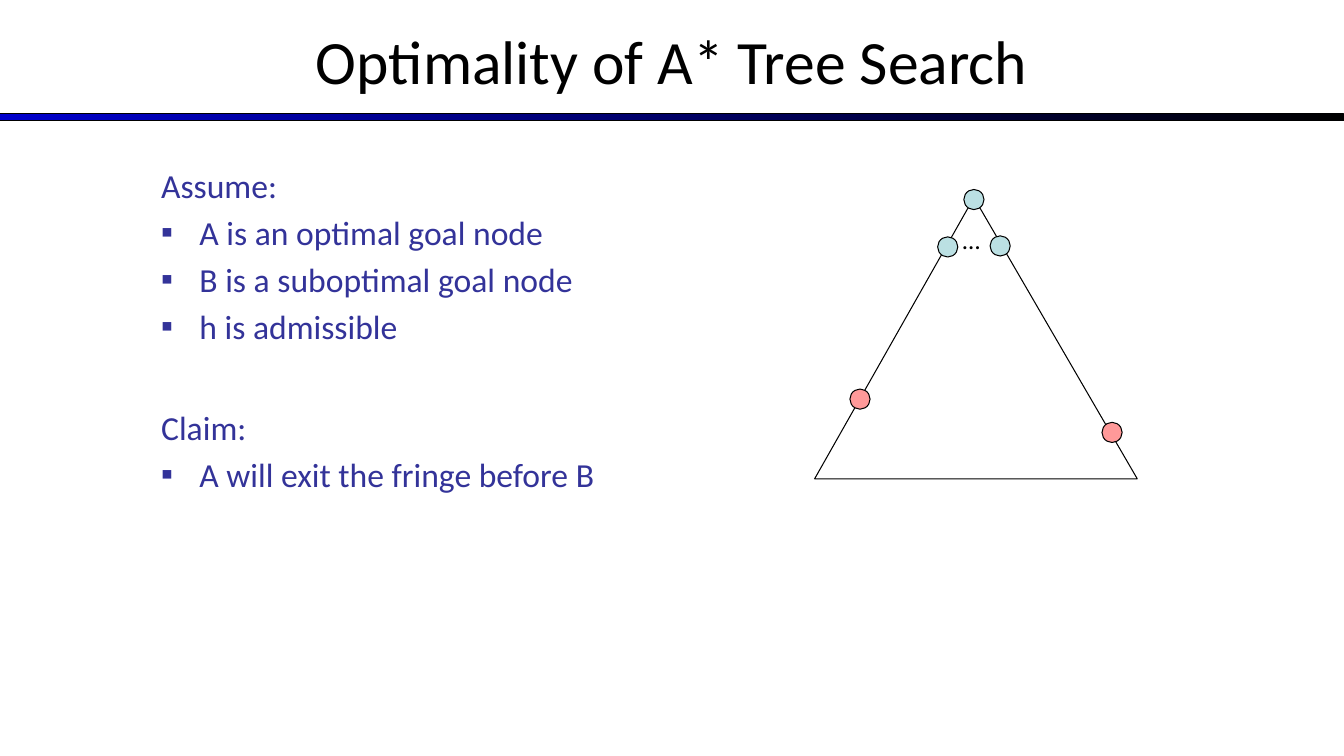
from dataclasses import dataclass

from lxml import etree
from pptx import Presentation
from pptx import util as u
from pptx.dml.color import RGBColor
from pptx.enum import shapes, text
from pptx.oxml.ns import qn

TITLE = "Optimality of A* Tree Search"
SECTIONS = [
    ("Assume:", ["A is an optimal goal node",
                 "B is a suboptimal goal node",
                 "h is admissible"]),
    ("Claim:", ["A will exit the fringe before B"]),
]
TREE_CORNERS = [(8.08, 4.75), (11.28, 4.75), (9.66, 1.96)]
# Node centres in inches
INNER_NODES = [(9.4, 2.45), (9.92, 2.44), (9.66, 1.98)]
GOAL_NODES = [(11.03, 4.29), (8.53, 3.96)]
NODE_SIZE = 0.2
WIDTH, HEIGHT = 13.33, 7.5


@dataclass(frozen=True)
class Theme:
    font: str = "Calibri"
    ink: str = "000000"
    body: str = "333399"
    bar_start: str = "0000CC"
    inner: str = "BBE0E3"
    goal: str = "FF9999"
    title_size: float = 44
    body_size: float = 24
    dots_size: float = 18
    line: float = 0.75
    indent: float = 0.38
    item_gap: float = 4.8
    section_gap: float = 43.3


theme = Theme()


def rgb(value):
    return RGBColor.from_string(value)


def inches(*lengths):
    return [u.Inches(length) for length in lengths]


def style_run(paragraph, size, color):
    for run in paragraph.runs:
        run.font.name = theme.font
        run.font.size = u.Pt(size)
        run.font.color.rgb = rgb(color)


def outline(shape):
    shape.shadow.inherit = False
    shape.line.color.rgb = rgb(theme.ink)
    shape.line.width = u.Pt(theme.line)


def hang(paragraph, bulleted):
    """Give a paragraph its hanging indent and, for an item, a square bullet."""
    props = paragraph._p.get_or_add_pPr()
    props.set("marL", str(u.Inches(theme.indent)))
    props.set("indent", str(-u.Inches(theme.indent)))
    if bulleted:
        color = etree.SubElement(props, qn("a:buClr"))
        etree.SubElement(color, qn("a:srgbClr"), val=theme.body)
        etree.SubElement(props, qn("a:buFont"), typeface=theme.font)
        etree.SubElement(props, qn("a:buChar"), char="▪")
    else:
        etree.SubElement(props, qn("a:buNone"))


def add_bar(slide):
    bar = slide.shapes.add_shape(shapes.MSO_SHAPE.RECTANGLE,
                                 *inches(0, 1.13, WIDTH, 0.07))
    outline(bar)
    bar.fill.gradient()
    bar.fill.gradient_angle = 0
    for stop, color, position in zip(bar.fill.gradient_stops,
                                     (theme.bar_start, theme.ink), (0, 1)):
        stop.color.rgb = rgb(color)
        stop.position = position


def add_title(slide):
    title = slide.shapes.title
    title.left, title.top, title.width, title.height = inches(0, -0.03, WIDTH, 1.25)
    frame = title.text_frame
    frame.text = TITLE
    frame.vertical_anchor = text.MSO_ANCHOR.MIDDLE
    frame.paragraphs[0].alignment = text.PP_ALIGN.CENTER
    style_run(frame.paragraphs[0], theme.title_size, theme.ink)


def add_argument(slide):
    frame = slide.shapes.add_textbox(*inches(1.5, 1.59, 5.5, 4.95)).text_frame
    frame.word_wrap = True
    lines = [(line, number > 0)
             for heading, items in SECTIONS
             for number, line in enumerate([heading, *items])]
    frame.text = "\n".join(line for line, _ in lines)
    for index, (paragraph, (_, bulleted)) in enumerate(zip(frame.paragraphs, lines)):
        hang(paragraph, bulleted)
        if index:
            paragraph.space_before = u.Pt(
                theme.item_gap if bulleted else theme.section_gap)
        style_run(paragraph, theme.body_size, theme.body)


def add_tree(slide):
    first, *others = [inches(*corner) for corner in TREE_CORNERS]
    builder = slide.shapes.build_freeform(*first)
    builder.add_line_segments(others, close=True)
    triangle = builder.convert_to_shape()
    triangle.fill.background()
    outline(triangle)

    dots = slide.shapes.add_textbox(*inches(9.45, 2.18, 0.3, 0.4)).text_frame
    dots.word_wrap = True
    dots.text = "…"
    style_run(dots.paragraphs[0], theme.dots_size, theme.ink)

    for centres, color in ((INNER_NODES, theme.inner), (GOAL_NODES, theme.goal)):
        for x, y in centres:
            node = slide.shapes.add_shape(
                shapes.MSO_SHAPE.OVAL,
                *inches(x - NODE_SIZE / 2, y - NODE_SIZE / 2, NODE_SIZE, NODE_SIZE))
            node.fill.solid()
            node.fill.fore_color.rgb = rgb(color)
            outline(node)


def main():
    deck = Presentation()
    deck.slide_width, deck.slide_height = inches(WIDTH, HEIGHT)
    slide = deck.slides.add_slide(deck.slide_layouts[5])
    add_bar(slide)
    add_title(slide)
    add_argument(slide)
    add_tree(slide)
    deck.save("out.pptx")


if __name__ == "__main__":
    main()
